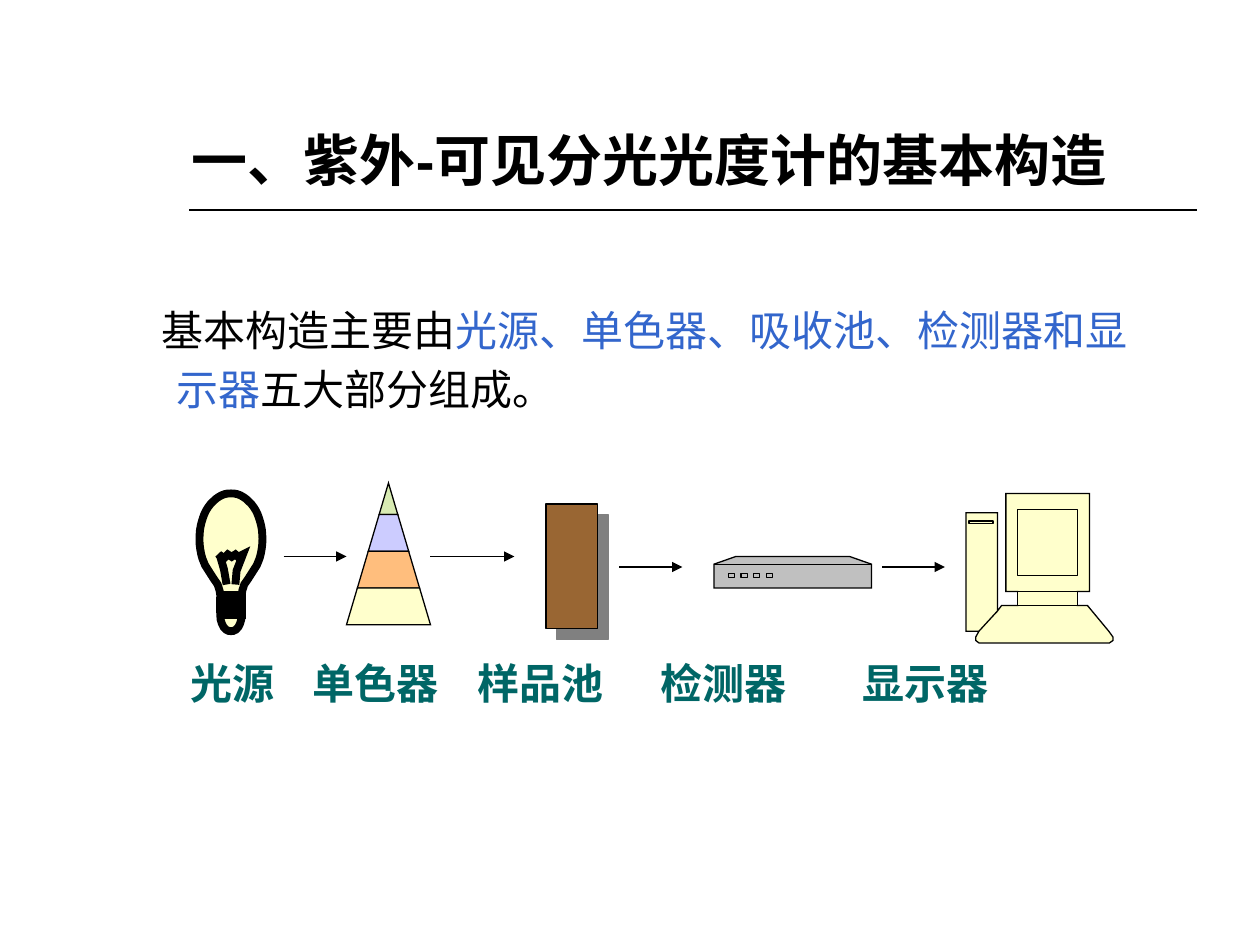
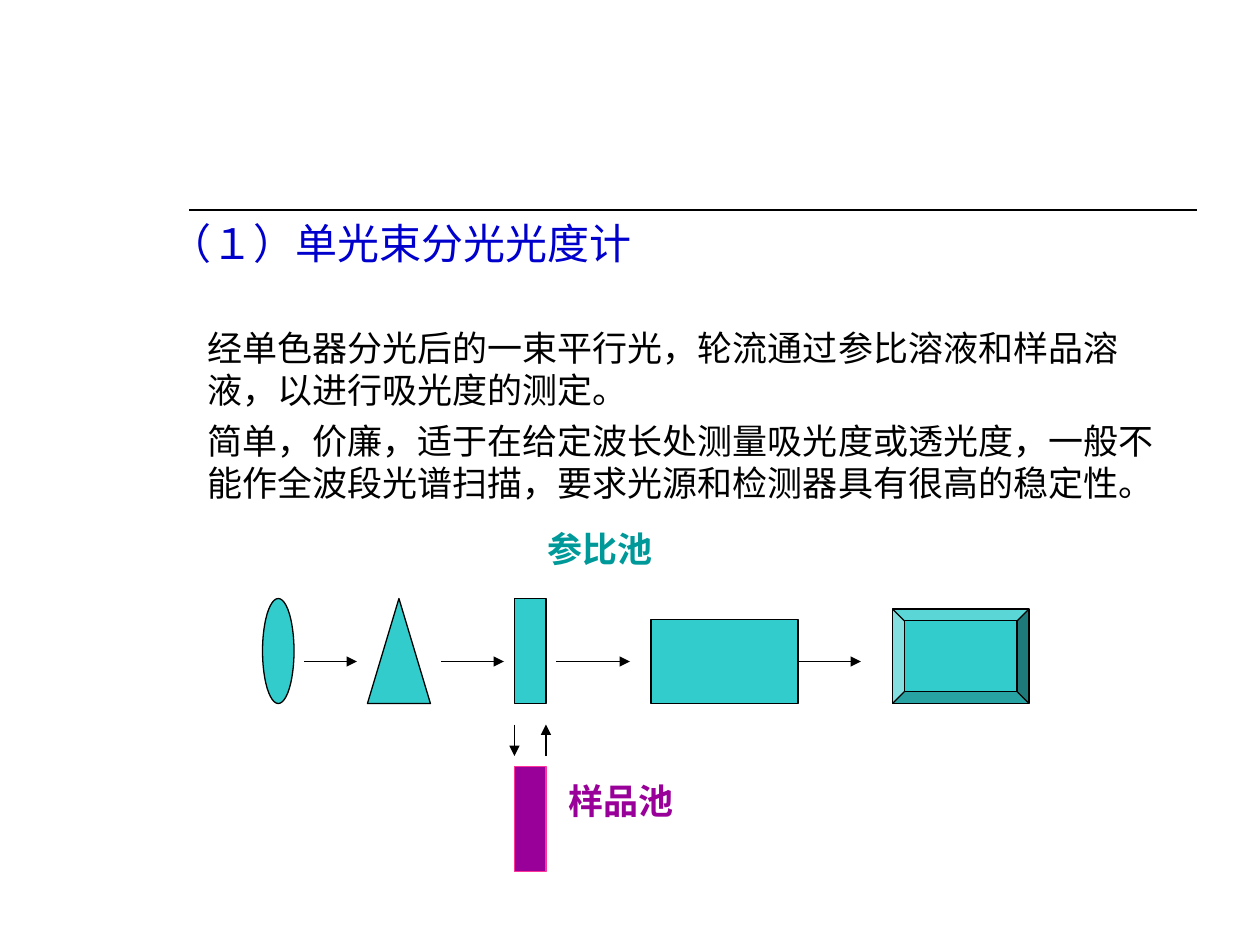
import pptx
import pptx.dml.color
import pptx.enum.shapes
import pptx.enum.text
import pptx.oxml
import pptx.oxml.ns
import pptx.util
from lxml import etree

Pt = pptx.util.Pt
SHAPE = pptx.enum.shapes.MSO_SHAPE
ANCHOR = pptx.enum.text.MSO_ANCHOR
A_NS = pptx.oxml.ns.nsdecls("a")

BLACK, CREAM, GREY = "000000", "FFFFCC", "C0C0C0"
TEAL, CYAN, PURPLE, BLUE = "006666", "33CCCC", "990099", "3366CC"
CJK, DEJAVU = "Noto Sans CJK SC", "DejaVu Sans"


def color(hex_code):
    return pptx.dml.color.RGBColor.from_string(hex_code)


class Deck:
    """Holds the presentation, its style and the current slide."""

    def __init__(self):
        self.prs = pptx.Presentation()
        self.prs.slide_width, self.prs.slide_height = Pt(720), Pt(540)
        self.slide = None

    def new_slide(self):
        self.slide = self.prs.slides.add_slide(self.prs.slide_layouts[6])
        self.line(108, 120, 684, 120, width=1, arrow=False)

    def title(self, words):
        self.text(102.4, 59.5, 582, 54, [[(words, BLACK)]], 32, "Arial",
                  bold=True, anchor=ANCHOR.BOTTOM)

    def text(self, left, top, width, height, paragraphs, size, font=DEJAVU, bold=False,
             anchor=ANCHOR.TOP, margin=0, indent=0, spacing=None, before=0):
        """Each paragraph is a list of (words, colour) pairs."""
        frame = self.slide.shapes.add_textbox(
            Pt(left), Pt(top), Pt(width), Pt(height)).text_frame
        frame.word_wrap = True
        frame.vertical_anchor = anchor
        for number, parts in enumerate(paragraphs):
            para = frame.paragraphs[0] if number == 0 else frame.add_paragraph()
            props = para._p.get_or_add_pPr()
            props.set("marL", str(Pt(margin)))
            props.set("indent", str(Pt(indent)))
            props.set("hangingPunct", "0")
            if spacing:
                para.line_spacing = Pt(spacing)
            if number:
                para.space_before = Pt(before)
            para.font.size, para.font.bold, para.font.name = Pt(size), bold, font
            for words, ink in parts:
                run = para.add_run()
                run.text = words
                run.font.color.rgb = color(ink)
                # East Asian characters take the same font
                run.font.name = font
                east_asian = etree.SubElement(run._r.rPr, pptx.oxml.ns.qn("a:ea"))
                east_asian.set("typeface", font)

    def paint(self, shape, fill, outline=BLACK, width=0.75):
        shape.shadow.inherit = False
        if fill:
            shape.fill.solid()
            shape.fill.fore_color.rgb = color(fill)
        else:
            shape.fill.background()
        shape.line.color.rgb = color(outline)
        shape.line.width = Pt(width)
        return shape

    def shape(self, kind, left, top, width, height, fill, outline=BLACK):
        return self.paint(self.slide.shapes.add_shape(
            kind, Pt(left), Pt(top), Pt(width), Pt(height)), fill, outline)

    def rect(self, *args):
        return self.shape(SHAPE.RECTANGLE, *args)

    def outline(self, points, fill, width=0.75, close=True):
        corners = [(Pt(x), Pt(y)) for x, y in points]
        builder = self.slide.shapes.build_freeform(*corners[0], scale=1.0)
        builder.add_line_segments(corners[1:], close=close)
        drawn = self.paint(builder.convert_to_shape(), fill, width=width)
        # Sharp corners
        join = etree.SubElement(drawn.line._get_or_add_ln(), pptx.oxml.ns.qn("a:miter"))
        join.set("lim", "800000")
        return drawn

    def line(self, x1, y1, x2, y2, width=0.75, arrow=True):
        connector = self.slide.shapes.add_connector(
            pptx.enum.shapes.MSO_CONNECTOR.STRAIGHT, Pt(x1), Pt(y1), Pt(x2), Pt(y2))
        connector.line.color.rgb = color(BLACK)
        connector.line.width = Pt(width)
        if arrow:
            head = etree.SubElement(connector.line._get_or_add_ln(),
                                    pptx.oxml.ns.qn("a:tailEnd"))
            head.set("type", "triangle")
        etree.SubElement(connector._element.spPr, pptx.oxml.ns.qn("a:effectLst"))

    def drop_shadow(self, shape, ink, distance):
        effects = shape._element.spPr.find(pptx.oxml.ns.qn("a:effectLst"))
        effects.append(pptx.oxml.parse_xml(
            f'<a:outerShdw {A_NS} dist="{Pt(distance)}" dir="2700000" algn="ctr" '
            f'rotWithShape="0"><a:srgbClr val="{ink}"/></a:outerShdw>'))


def draw_bulb(deck, center):
    # Right half of the glass, mirrored to the left
    half = [(0, 282), (2, 282.1), (3.6, 282.4), (5.4, 283.1), (7, 284), (8.6, 285.1),
            (10, 286.4), (11.6, 288), (13, 289.8), (14.2, 291.7), (15.2, 293.8),
            (16, 296), (16.7, 298.3), (17.3, 300.7), (17.7, 303), (17.9, 305.5),
            (18, 308), (17.9, 311), (17.6, 313.5), (17.1, 316.3), (16.4, 319),
            (14.8, 323), (11.9, 327.6), (9.7, 331), (7.6, 334), (6.5, 337.5),
            (6.1, 340), (6.1, 351.4), (5.9, 354), (5.2, 356.4), (4.2, 358.4),
            (2.8, 359.9), (1.3, 360.6), (0, 360.7)]
    glass = half + [(-x, y) for x, y in reversed(half[1:-1])]
    filament = [(-2.5, 334), (-4, 325.4), (-6.1, 318.2), (-7, 316.8), (-4, 319),
                (-1.8, 316.8), (0.4, 318.2), (2.5, 316.8), (4, 318.2), (6.8, 316.8),
                (3.2, 326.2), (2.5, 334)]
    screw = [(-6.1, 340), (6.1, 340), (6.1, 343.4), (-6.1, 343.4),
             (-6.1, 347.8), (6.1, 347.8), (6.1, 351.4), (-6.1, 351.4)]
    for points, fill in ((glass, CREAM), (filament, None), (screw, None)):
        deck.outline([(center + x, y) for x, y in points], fill, 4.5, close=bool(fill))


def draw_prism(deck, center, apex):
    levels = [0, 18, 39, 60, 81]
    bands = ["D8EBB3", "CCCCFF", "FFBE7D", CREAM]
    slope = 24 / 81
    for upper, lower, fill in zip(levels, levels[1:], bands):
        a, b = upper * slope, lower * slope
        deck.outline([(center - a, apex + upper), (center + a, apex + upper),
                      (center + b, apex + lower), (center - b, apex + lower)], fill)


def draw_detector(deck):
    deck.outline([(408, 322.4), (420.5, 318), (485.5, 318), (498, 322.4),
                  (498, 336), (408, 336)], GREY)
    deck.line(408, 322.4, 498, 322.4, arrow=False)
    for lamp in range(4):
        deck.rect(416.2 + 7.2 * lamp, 327.6, 3.6, 2.4, GREY)


def draw_computer(deck):
    keyboard = [(621.4, 346), (633.6, 360.7), (636, 364), (636, 366), (634, 367.4),
                (559.4, 367.4), (557.6, 366), (557.6, 364), (559.4, 360.7),
                (570, 349.2), (559.4, 360.7)]
    tower = [(552, 360.7), (552, 293), (570, 293), (570, 349.2), (572.4, 346)]
    monitor = [(581.6, 346), (581.6, 338), (574.8, 338), (574.8, 282), (622.6, 282),
               (622.6, 338), (615.6, 338), (615.6, 346)]
    deck.outline(keyboard + tower + monitor, CREAM)
    slot, screen, neck = ((553.8, 297.8, 13.6, 1.2), (581.6, 291, 34, 37.8),
                          (581.6, 338, 34, 8))
    for part in (slot, screen, neck):
        deck.rect(*part, CREAM)


def structure_slide(deck):
    deck.new_slide()
    deck.title("一、紫外-可见分光光度计的基本构造")
    deck.text(66.3, 165.8, 600, 80, [[
        ("基本构造主要由", BLACK),
        ("光源、单色器、吸收池、检测器和显示器", BLUE),
        ("五大部分组成。", BLACK)]],
        24, CJK, margin=27.4, indent=-8.4, spacing=33.7)

    # Instrument parts, left to right
    draw_bulb(deck, 132)
    draw_prism(deck, 222, 276)
    sample_cell = deck.rect(312, 288, 29.5, 71.3, "996633")
    deck.drop_shadow(sample_cell, "808080", 8.5)
    draw_detector(deck)
    draw_computer(deck)
    for start, end, y in ((162, 198, 318), (246, 294, 318), (354, 390, 324),
                          (504, 540, 324)):
        deck.line(start, y, end, y)

    # Part names
    for name, left in (("光源", 102), ("单色器", 171.7), ("样品池", 266),
                       ("检测器", 370.5), ("显示器", 485.8)):
        deck.text(left, 372.3, 90, 36, [[(name, TEAL)]], 24, bold=True)


def single_beam_slide(deck):
    deck.new_slide()
    deck.text(90, 120.5, 590, 36, [[("（１）单光束分光光度计", "0000CC")]], 24)
    deck.text(83.8, 183.6, 600, 108, [
        [("经单色器分光后的一束平行光，轮流通过参比溶液和样品溶液，以进行吸光度的测定。", BLACK)],
        [("简单，价廉，适于在给定波长处测量吸光度或透光度，一般不能作全波段光谱扫描，"
          "要求光源和检测器具有很高的稳定性。", BLACK)]],
        20, margin=27.4, spacing=23.6, before=6)

    # Light path
    deck.shape(SHAPE.OVAL, 150, 342, 18, 60, CYAN)
    deck.shape(SHAPE.FLOWCHART_EXTRACT, 210, 342, 36, 60, CYAN)
    deck.rect(294, 342, 18, 60, CYAN)
    deck.rect(372, 354, 84, 48, CYAN)
    deck.shape(SHAPE.BEVEL, 510, 348, 78, 54, CYAN)
    for start, end in ((174, 204), (252, 288), (318, 360), (456, 492)):
        deck.line(start, 378, end, 378)

    # Sample cell swapped with the reference cell
    deck.rect(294, 438, 18, 60, PURPLE, "FF3399")
    deck.line(294, 414, 294, 432)
    deck.line(312, 432, 312, 414)
    for name, left, top, ink in (("样品池", 318, 442, PURPLE),
                                 ("参比池", 306, 298, "009999")):
        deck.text(left, top, 78, 32, [[(name, ink)]], 20, bold=True)


def main():
    deck = Deck()
    structure_slide(deck)
    single_beam_slide(deck)
    deck.prs.save("out.pptx")


if __name__ == "__main__":
    main()
